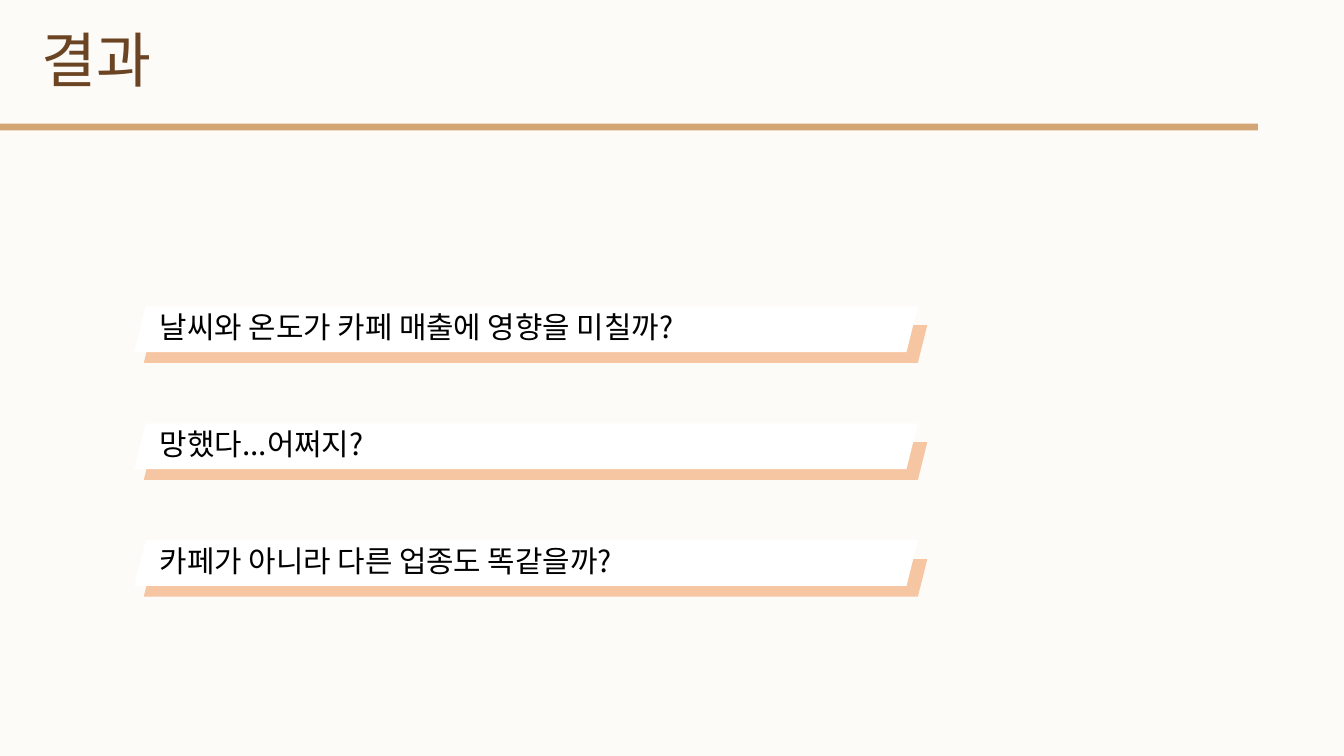
from lxml import etree
from pptx import Presentation
from pptx.dml.color import RGBColor
from pptx.enum.shapes import MSO_SHAPE
from pptx.oxml.ns import qn
from pptx.util import Inches, Pt

RECTANGLE = MSO_SHAPE.RECTANGLE
PARALLELOGRAM = MSO_SHAPE.PARALLELOGRAM
COLORS = {"page": "FDFBF7", "rule": "D4A574", "title": "6B4423",
          "accent": "ED7D31", "card": "FFFFFF", "text": "000000"}
TITLE_FORMAT = {"name": "Lato", "size": Pt(32), "bold": False}
CARD_FORMAT = {"name": "Noto Sans CJK KR", "size": Pt(16), "bold": False}

# Card grid, in inches
CARD_LEFT, CARD_TOP, ROW_STEP = 1, 2.28, 0.87
CARD_WIDTH, CARD_HEIGHT = 5.83, 0.34
QUESTIONS = ["날씨와 온도가 카페 매출에 영향을 미칠까?",
             "망했다...어쩌지?",
             "카페가 아니라 다른 업종도 똑같을까?"]


def add_block(parent, kind, area, color):
    block = parent.add_shape(kind, *map(Inches, area))
    block.shadow.inherit = False
    block.fill.solid()
    block.fill.fore_color.rgb = RGBColor.from_string(COLORS[color])
    block.line.fill.background()
    return block


def add_text(area, words, text_format, color, leading):
    box = page.shapes.add_textbox(*map(Inches, area))
    frame = box.text_frame
    frame.word_wrap = True
    for side in ("left", "top", "right", "bottom"):
        setattr(frame, f"margin_{side}", 0)
    para = frame.paragraphs[0]
    para.line_spacing = Pt(leading)
    span = para.add_run()
    span.text = words
    for name, value in text_format.items():
        setattr(span.font, name, value)
    span.font.color.rgb = RGBColor.from_string(COLORS[color])
    return para


# Widescreen page, 16 by 9
deck = Presentation()
deck.slide_width = Inches(10)
deck.slide_height = deck.slide_width * 9 // 16
page = deck.slides.add_slide(deck.slide_layouts[6])
page.background.fill.solid()
page.background.fill.fore_color.rgb = RGBColor.from_string(COLORS["page"])

# Heading and rule
add_block(page.shapes, RECTANGLE, (0, 0.92, 9.36, 0.05), "rule")
title = add_text((0.31, 0.33, 4.79, 0.38), "결과", TITLE_FORMAT, "title", 27)
title.space_after = Pt(6)

# Question cards, each over a translucent offset band
for row, question in enumerate(QUESTIONS):
    top = CARD_TOP + row * ROW_STEP
    card = page.shapes.add_group_shape()
    band = add_block(card.shapes, PARALLELOGRAM,
                     (CARD_LEFT + 0.07, top + 0.14, CARD_WIDTH, 0.28), "accent")
    tint = band.fill._xPr.find(".//" + qn("a:srgbClr"))
    etree.SubElement(tint, qn("a:alpha")).set("val", "42000")
    add_block(card.shapes, PARALLELOGRAM,
              (CARD_LEFT, top, CARD_WIDTH, CARD_HEIGHT), "card")
    add_text((CARD_LEFT + 0.19, top, 4.58, 0.28), question, CARD_FORMAT, "text", 20.2)

deck.save("out.pptx")
